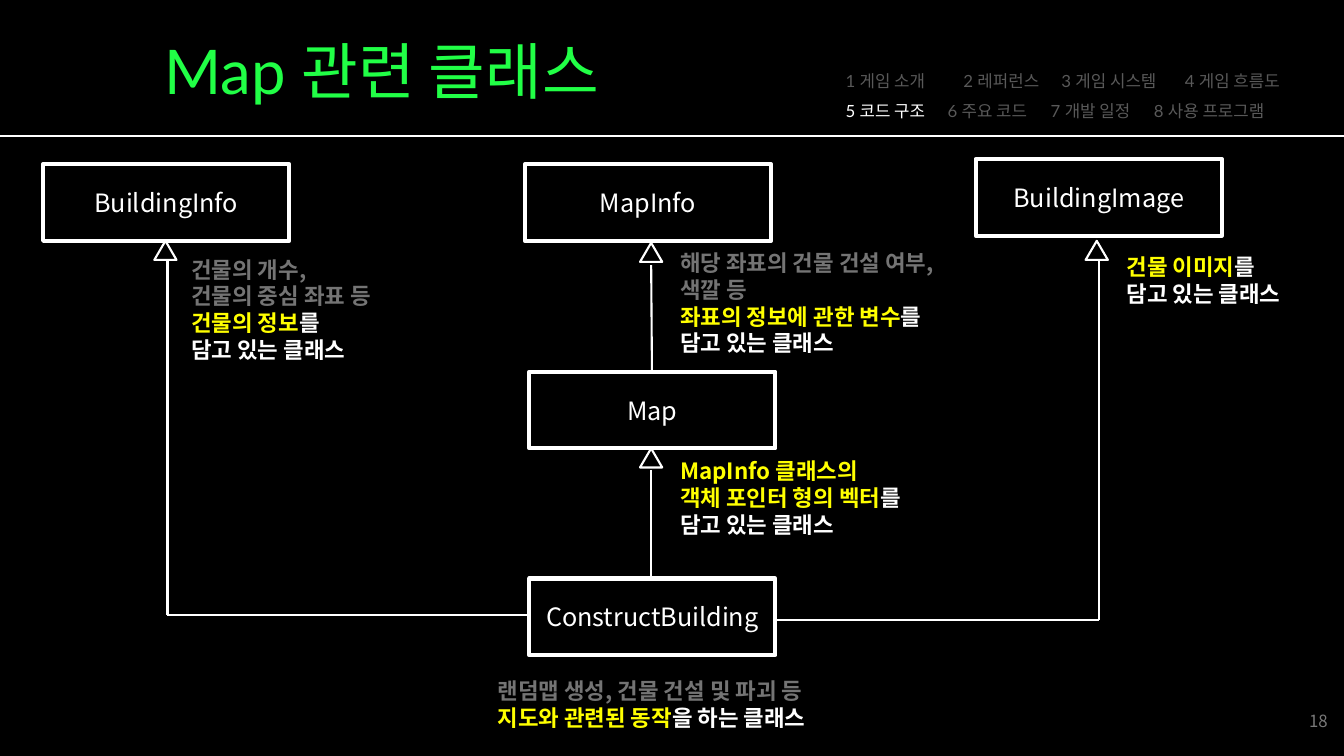
from dataclasses import dataclass

from lxml.etree import SubElement
from pptx import Presentation
from pptx.dml.color import RGBColor
from pptx.enum.shapes import MSO_CONNECTOR, MSO_SHAPE
from pptx.enum.text import MSO_ANCHOR, PP_ALIGN
from pptx.oxml.ns import qn
from pptx.util import Cm, Pt


@dataclass(frozen=True)
class Theme:
    """Colours, fonts and sizes used on the slide."""
    black: str = "000000"
    white: str = "FFFFFF"
    green: str = "21FF46"
    yellow: str = "FFFF00"
    grey: str = "747474"
    menu_grey: str = "595959"
    number_grey: str = "797979"
    latin: str = "Lato"
    korean: str = "Noto Sans CJK KR"
    title: int = 44
    label: int = 18
    note: int = 16
    small: int = 12
    thick: float = 3
    thin: float = 1.5


THEME = Theme()
BOX_SIZE = (6.2, 1.93)
ARROW_SIZE = (0.56, 0.48)

CLASSES = {
    "BuildingInfo": (1.09, 4.14),
    "MapInfo": (13.23, 4.14),
    "BuildingImage": (24.59, 4.01),
    "Map": (13.34, 9.37),
    "ConstructBuilding": (13.34, 14.58),
}
ARROWHEADS = [(3.89, 6.07), (16.13, 6.12), (16.13, 11.3), (27.36, 6.07)]
ROUTES = [
    [(4.22, 6.58), (4.22, 15.49), (13.34, 15.49)],
    [(16.41, 6.68), (16.43, 9.37)],
    [(16.41, 11.84), (16.41, 14.58)],
    [(19.53, 15.62), (27.69, 15.62), (27.69, 6.55)],
]
HOLDS = [("담고 있는 클래스", THEME.white)]
NOTES = [
    ((4.57, 6.32, 5.92, 3), [
        [("건물의 개수,", THEME.grey)],
        [("건물의 중심 좌표 등", THEME.grey)],
        [("건물의 정보", THEME.yellow), ("를", THEME.white)],
        HOLDS]),
    ((16.89, 6.15, 7.72, 3), [
        [("해당 좌표의 건물 건설 여부,", THEME.grey)],
        [("색깔 등", THEME.grey)],
        [("좌표의 정보에 관한 변수", THEME.yellow), ("를", THEME.white)],
        HOLDS]),
    ((16.89, 11.4, 7.72, 2.31), [
        [("MapInfo 클래스의", THEME.yellow)],
        [("객체 포인터 형의 벡터", THEME.yellow), ("를", THEME.white)],
        HOLDS]),
    ((28.14, 6.25, 5.23, 1.63), [
        [("건물 이미지", THEME.yellow), ("를", THEME.white)],
        HOLDS]),
    ((12.29, 16.94, 9.93, 1.63), [
        [("랜덤맵 생성, 건물 건설 및 파괴 등", THEME.grey)],
        [("지도와 관련된 동작", THEME.yellow), ("을 하는 클래스", THEME.white)]]),
]
MENU = [
    (["1 게임 소개", "2 레퍼런스", "3 게임 시스템", "4 게임 흐름도"], (2.97, 5.44, 8.55)),
    (["5 코드 구조", "6 주요 코드", "7 개발 일정", "8 사용 프로그램"], (2.57, 5.17, 7.77)),
]
CURRENT = "5 코드 구조"


def lengths(values):
    """Turn centimetre numbers into lengths."""
    return [Cm(value) for value in values]


def add_span(para, text, color, size, name=THEME.korean, bold=False):
    """Add one formatted run to a paragraph."""
    span = para.add_run()
    span.text = text
    formats = {"size": Pt(size), "bold": bold, "name": name}
    for key, value in formats.items():
        setattr(span.font, key, value)
    span.font.color.rgb = RGBColor.from_string(color)
    properties = span._r.get_or_add_rPr()
    east_asian = SubElement(properties, qn("a:ea"), typeface=THEME.korean)
    properties.find(qn("a:latin")).addnext(east_asian)


def add_text(page, place, lines, size, bold=False, align=PP_ALIGN.LEFT, anchor=MSO_ANCHOR.TOP):
    """Add a text box with one paragraph for each list of coloured spans."""
    frame = page.shapes.add_textbox(*lengths(place)).text_frame
    frame.word_wrap = True
    frame.vertical_anchor = anchor
    for index, spans in enumerate(lines):
        para = frame.paragraphs[0] if index == 0 else frame.add_paragraph()
        para.alignment = align
        for text, color in spans:
            add_span(para, text, color, size, bold=bold)


def add_outline(page, preset, corner, size, weight):
    """Add an unfilled shape with a white outline."""
    shape = page.shapes.add_shape(preset, *lengths(corner + size))
    shape.shadow.inherit = False
    shape.fill.background()
    shape.line.color.rgb = RGBColor.from_string(THEME.white)
    shape.line.width = Pt(weight)
    return shape


def add_class(page, name, corner):
    """Add a class box with its name in the middle."""
    box = add_outline(page, MSO_SHAPE.RECTANGLE, corner, BOX_SIZE, THEME.thick)
    frame = box.text_frame
    frame.word_wrap = True
    frame.vertical_anchor = MSO_ANCHOR.MIDDLE
    para = frame.paragraphs[0]
    para.alignment = PP_ALIGN.CENTER
    add_span(para, name, THEME.white, THEME.label)


def add_route(page, points):
    """Join consecutive points with straight white lines."""
    for start, end in zip(points, points[1:]):
        line = page.shapes.add_connector(MSO_CONNECTOR.STRAIGHT, *lengths(start + end))
        line.line.color.rgb = RGBColor.from_string(THEME.white)
        line.line.width = Pt(THEME.thin)
        SubElement(line._element.spPr, qn("a:effectLst"))


def add_title(page, text):
    """Place and format the title placeholder."""
    title = page.shapes.title
    place = dict(zip(("left", "top", "width", "height"), lengths((3.89, 0.69, 13.92, 2.13))))
    for key, value in place.items():
        setattr(title, key, value)
    frame = title.text_frame
    frame.vertical_anchor = MSO_ANCHOR.TOP
    para = frame.paragraphs[0]
    para.alignment = PP_ALIGN.LEFT
    add_span(para, text, THEME.green, THEME.title, THEME.latin)


def add_menu(page):
    """Add the section menu with the current section highlighted."""
    frame = page.shapes.add_textbox(*lengths((21.06, 1.4, 12.4, 1.68))).text_frame
    frame.word_wrap = True
    for row, (items, stops) in enumerate(MENU):
        para = frame.paragraphs[0] if row == 0 else frame.add_paragraph()
        para.line_spacing = 1.5
        tabs = SubElement(para._p.get_or_add_pPr(), qn("a:tabLst"))
        for stop in stops:
            SubElement(tabs, qn("a:tab"), pos=str(Cm(stop)), algn="l")
        for column, item in enumerate(items):
            color = THEME.white if item == CURRENT else THEME.menu_grey
            text = item if column == 0 else "\t" + item
            add_span(para, text, color, THEME.small, THEME.latin)


def main():
    """Build the class diagram slide."""
    deck = Presentation()
    deck.slide_width, deck.slide_height = lengths((33.87, 19.05))
    page = deck.slides.add_slide(deck.slide_layouts[5])
    page.background.fill.solid()
    page.background.fill.fore_color.rgb = RGBColor.from_string(THEME.black)
    add_title(page, "Map 관련 클래스")
    add_menu(page)
    add_route(page, [(0, 3.43), (33.87, 3.43)])
    for name, corner in CLASSES.items():
        add_class(page, name, corner)
    for corner in ARROWHEADS:
        add_outline(page, MSO_SHAPE.ISOSCELES_TRIANGLE, corner, ARROW_SIZE, THEME.thin)
    for points in ROUTES:
        add_route(page, points)
    for place, lines in NOTES:
        add_text(page, place, lines, THEME.note, bold=True)
    add_text(page, (26.09, 17.65, 7.62, 1.02), [[("18", THEME.number_grey)]], THEME.small,
             align=PP_ALIGN.RIGHT, anchor=MSO_ANCHOR.MIDDLE)
    deck.save("out.pptx")


if __name__ == "__main__":
    main()
